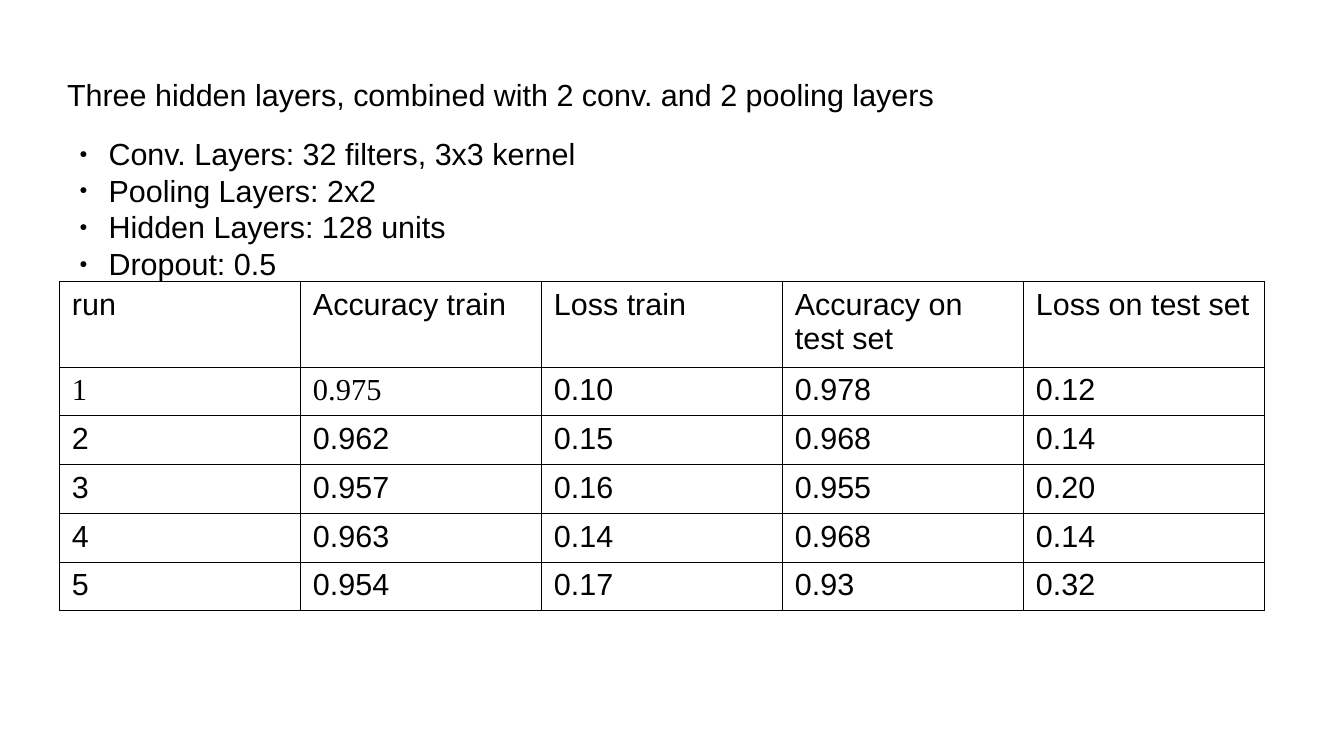
from dataclasses import dataclass

from lxml.etree import SubElement
from pptx import Presentation
from pptx.dml.color import RGBColor
from pptx.enum.text import MSO_ANCHOR, MSO_AUTO_SIZE, PP_ALIGN
from pptx.oxml import parse_xml
from pptx.oxml.ns import nsdecls, qn
from pptx.util import Inches, Pt

TITLE = "Three hidden layers, combined with 2 conv. and 2 pooling layers"
SETTINGS = [
    "Conv. Layers: 32 filters, 3x3 kernel",
    "Pooling Layers: 2x2",
    "Hidden Layers: 128 units",
    "Dropout: 0.5",
]
HEADER = ["run", "Accuracy train", "Loss train", "Accuracy on test set", "Loss on test set"]
RUNS = [
    ["1", "0.975", "0.10", "0.978", "0.12"],
    ["2", "0.962", "0.15", "0.968", "0.14"],
    ["3", "0.957", "0.16", "0.955", "0.20"],
    ["4", "0.963", "0.14", "0.968", "0.14"],
    ["5", "0.954", "0.17", "0.93", "0.32"],
]
SERIF_VALUES = {"1", "0.975"}


@dataclass(frozen=True)
class Theme:
    font: str = "Arial"
    serif: str = "Times New Roman"
    size: float = 18
    line_pitch: float = 21.6
    ink: str = "000000"
    border: float = 0.57
    bullet_percent: int = 45


THEME = Theme()
PAGE_WIDTH, PAGE_HEIGHT = 11.02, 6.2
TEXT_LEFT = 0.55
TABLE_LEFT, TABLE_TOP = 0.49, 2.31
TABLE_WIDTH = 9.88
HEADER_HEIGHT, ROW_HEIGHT = 0.7, 0.4
BULLET_INDENT = 0.24


def place(shape, left, top, width, height):
    shape.left, shape.top = Inches(left), Inches(top)
    shape.width, shape.height = Inches(width), Inches(height)


def add_span(para, text, font=THEME.font):
    span = para.add_run()
    span.text = text
    span.font.name = font
    span.font.size = Pt(THEME.size)
    span.font.color.rgb = RGBColor.from_string(THEME.ink)


def add_bullet(para):
    props = para._p.get_or_add_pPr()
    props.set("marL", str(Inches(BULLET_INDENT)))
    props.set("indent", str(-Inches(BULLET_INDENT)))
    colour = SubElement(props, qn("a:buClr"))
    SubElement(colour, qn("a:srgbClr"), val=THEME.ink)
    SubElement(props, qn("a:buSzPct"), val=str(THEME.bullet_percent * 1000))
    SubElement(props, qn("a:buFont"), typeface=THEME.font)
    SubElement(props, qn("a:buChar"), char="●")


def add_borders(cell):
    props = cell._tc.get_or_add_tcPr()
    for position, side in enumerate("LRTB"):
        props.insert(position, parse_xml(
            f'<a:ln{side} {nsdecls("a")} w="{Pt(THEME.border)}"><a:solidFill>'
            f'<a:srgbClr val="{THEME.ink}"/></a:solidFill></a:ln{side}>'))


def fill_title(box):
    place(box, TEXT_LEFT, 0.25, 9.92, 1.04)
    frame = box.text_frame
    frame.margin_left = frame.margin_right = frame.margin_top = frame.margin_bottom = 0
    frame.vertical_anchor = MSO_ANCHOR.MIDDLE
    frame.auto_size = MSO_AUTO_SIZE.NONE
    para = frame.paragraphs[0]
    para.alignment = PP_ALIGN.LEFT
    add_span(para, TITLE)


def fill_settings(box):
    place(box, TEXT_LEFT, 1.06, 4.6, 1.5)
    frame = box.text_frame
    frame.auto_size = MSO_AUTO_SIZE.NONE
    frame.word_wrap = True
    for number, setting in enumerate(SETTINGS):
        para = frame.add_paragraph() if number else frame.paragraphs[0]
        para.space_before = Pt(0)
        para.line_spacing = Pt(THEME.line_pitch)
        add_bullet(para)
        add_span(para, setting)


def add_results(page):
    rows = [HEADER, *RUNS]
    height = HEADER_HEIGHT + ROW_HEIGHT * len(RUNS)
    table = page.shapes.add_table(
        len(rows), len(HEADER), Inches(TABLE_LEFT), Inches(TABLE_TOP),
        Inches(TABLE_WIDTH), Inches(height)).table
    table.first_row = table.horz_banding = False
    for number, values in enumerate(rows):
        table.rows[number].height = Inches(ROW_HEIGHT if number else HEADER_HEIGHT)
        for column, value in enumerate(values):
            cell = table.cell(number, column)
            cell.fill.background()
            add_borders(cell)
            font = THEME.serif if value in SERIF_VALUES else THEME.font
            add_span(cell.text_frame.paragraphs[0], value, font)


def main():
    deck = Presentation()
    deck.slide_width, deck.slide_height = Inches(PAGE_WIDTH), Inches(PAGE_HEIGHT)
    page = deck.slides.add_slide(deck.slide_layouts[1])
    fill_title(page.shapes.title)
    fill_settings(page.placeholders[1])
    add_results(page)
    deck.save("out.pptx")


if __name__ == "__main__":
    main()
